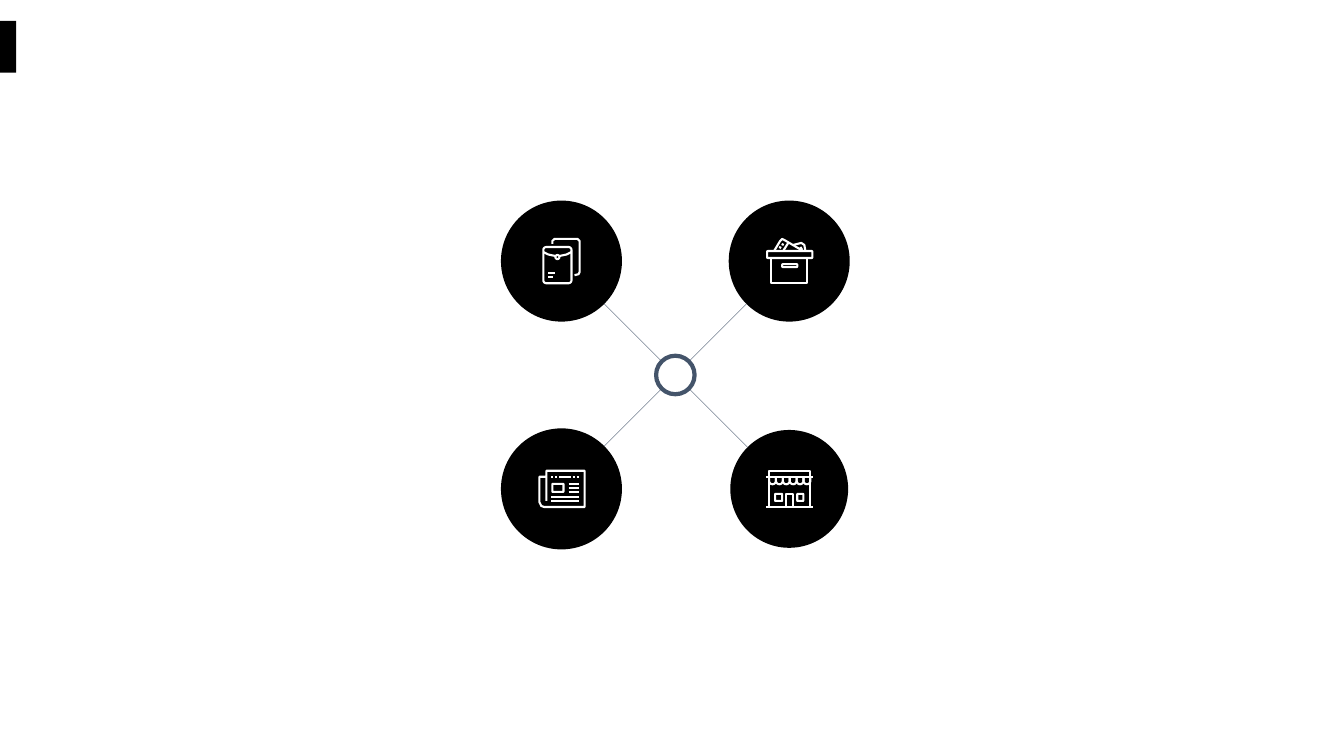
"""Builds a slide with four icon circles joined to a central ring."""
from dataclasses import dataclass
from math import cos, pi, sin, sqrt

from lxml.etree import SubElement
from pptx import Presentation
from pptx.dml.color import RGBColor
from pptx.enum.shapes import MSO_CONNECTOR, MSO_SHAPE
from pptx.oxml.ns import qn
from pptx.util import Cm, Pt


@dataclass(frozen=True)
class Theme:
    black: RGBColor = RGBColor(0x00, 0x00, 0x00)
    white: RGBColor = RGBColor(0xFF, 0xFF, 0xFF)
    slate: RGBColor = RGBColor(0x44, 0x54, 0x6A)
    ring_line: Pt = Pt(3)
    spoke_line: Pt = Pt(0.25)
    icon_line: Pt = Pt(1.5)


THEME = Theme()
ICON_UNIT = Cm(2.54) / 100
CENTER_X, CENTER_Y = Cm(17.02), Cm(9.45)
OFFSET = Cm(2.87)
RING_SIZE = Cm(0.97)
LARGE_CIRCLE, SMALL_CIRCLE = Cm(3.05), Cm(2.97)


def format_line(line, color, width):
    for name, value in {"rgb": color}.items():
        setattr(line.color, name, value)
    line.width = width


def add_filled(shapes, kind, left, top, width, height, color):
    shape = shapes.add_shape(kind, left, top, width, height)
    shape.shadow.inherit = False
    shape.fill.solid()
    shape.fill.fore_color.rgb = color
    shape.line.fill.background()


def add_circle(shapes, x, y, size):
    corner = round(x - size / 2), round(y - size / 2)
    add_filled(shapes, MSO_SHAPE.OVAL, *corner, size, size, THEME.black)


def add_ring(shapes):
    left, top = round(CENTER_X - RING_SIZE / 2), round(CENTER_Y - RING_SIZE / 2)
    ring = shapes.add_shape(MSO_SHAPE.OVAL, left, top, RING_SIZE, RING_SIZE)
    ring.shadow.inherit = False
    ring.fill.background()
    format_line(ring.line, THEME.slate, THEME.ring_line)


def add_spoke(shapes, side_x, side_y, size):
    near = RING_SIZE / 2 / sqrt(2)
    far = OFFSET - size / 2 / sqrt(2)
    ends = [round(value) for reach in (near, far)
            for value in (CENTER_X + side_x * reach, CENTER_Y + side_y * reach)]
    spoke = shapes.add_connector(MSO_CONNECTOR.STRAIGHT, *ends)
    format_line(spoke.line, THEME.slate, THEME.spoke_line)
    SubElement(spoke._element.spPr, qn("a:effectLst"))


def add_icon(shapes, x, y, strokes):
    placed = [[(x + across * ICON_UNIT, y + down * ICON_UNIT) for across, down in stroke]
              for stroke in strokes]
    builder = shapes.build_freeform(*placed[0][0])
    for stroke in placed:
        builder.move_to(*stroke[0])
        builder.add_line_segments(stroke[1:], close=stroke[0] == stroke[-1])
    icon = builder.convert_to_shape()
    icon.shadow.inherit = False
    icon.fill.background()
    format_line(icon.line, THEME.white, THEME.icon_line)


def arc(x, y, radius, start, end, steps=8):
    angles = [start + (end - start) * step / steps for step in range(steps + 1)]
    return [(x + radius * cos(angle), y + radius * sin(angle)) for angle in angles]


def box(left, top, right, bottom, radius=0.5):
    corners = [(right - radius, bottom - radius), (left + radius, bottom - radius),
               (left + radius, top + radius), (right - radius, top + radius)]
    points = [point for index, (x, y) in enumerate(corners)
              for point in arc(x, y, radius, index * pi / 2, (index + 1) * pi / 2, 4)]
    return points + points[:1]


def dash(left, right, y):
    return [(left, y), (right, y)]


def envelope_strokes():
    seal = arc(-4, -4, 2, 0, 2 * pi, 16)
    return [
        box(-18, -14, 10, 22, 3),
        [(-9, -17), (-9, -20), (-7, -22), (16, -22), (18, -20), (18, 11), (17, 13), (13, 14)],
        [(-18, -9), (-13, -6.5), (-6, -5)],
        [(-2, -5), (5, -6.5), (10, -9)],
        seal[:-1] + seal[:1],
        dash(-13, -6, 12),
        dash(-13, -8, 16),
    ]


def archive_strokes():
    return [
        box(-22, -10, 23, -3, 1),
        [(-18, -3), (-18, 22), (18, 22), (18, -3)],
        box(-7, 3, 8, 6, 1),
        [(-15, -10), (-9, -20), (-7, -22), (-5, -21), (12, -11)],
        [(-1, -18), (-6, -10)],
        [(4, -16), (12, -18), (15, -16), (16, -10)],
        [(-7.5, -17), (-5.5, -16)],
        [(-10, -14), (-8, -13)],
        [(11, -14), (13, -11)],
    ]


def newspaper_strokes():
    fold = [(-15, 12), (-15, -18), (23, -18), (23, 18), (-17, 18),
            (-20, 17), (-22, 13), (-22, -12), (-15, -12)]
    dots = [dash(x - 1, x + 1, -12) for x in (-9, -5, 12, 16)]
    columns = [dash(7, 17, y) for y in (-5, -1, 3)]
    rows = [dash(-10, 17, y) for y in (8, 12)]
    return [fold, box(-9, -5, 2, 3), dash(-2, 9, -12), *dots, *columns, *rows]


def store_strokes():
    pitch = 41 / 6
    scallops = []
    for index in range(6):
        left = -20 + index * pitch
        curve = arc(left + pitch / 2, -8, pitch / 2, pi, 0)
        scallops.append([(left, -12), *curve, (left + pitch, -12)])
    return [
        [(-20, 18), (-20, -18), (21, -18), (21, 18)],
        dash(-23, 24, -12),
        dash(-23, 24, 18),
        [(-3, 18), (-3, 5), (4, 5), (4, 18)],
        box(-14, 5, -7, 12),
        box(8, 5, 14, 12),
        *scallops,
    ]


def main():
    presentation = Presentation()
    presentation.slide_width, presentation.slide_height = Cm(33.87), Cm(19.05)
    slide = presentation.slides.add_slide(presentation.slide_layouts[6])
    hub = slide.shapes.add_group_shape().shapes
    nodes = [
        (1, 1, SMALL_CIRCLE, store_strokes()),
        (1, -1, LARGE_CIRCLE, archive_strokes()),
        (-1, 1, LARGE_CIRCLE, newspaper_strokes()),
        (-1, -1, LARGE_CIRCLE, envelope_strokes()),
    ]
    for side_x, side_y, size, strokes in nodes:
        x, y = CENTER_X + side_x * OFFSET, CENTER_Y + side_y * OFFSET
        add_circle(hub, x, y, size)
        add_spoke(hub, side_x, side_y, size)
        add_icon(hub, x, y, strokes)
    add_ring(hub)
    add_filled(slide.shapes, MSO_SHAPE.RECTANGLE, 0, Cm(0.53), Cm(0.41), Cm(1.3), THEME.black)
    presentation.save("out.pptx")


if __name__ == "__main__":
    main()
